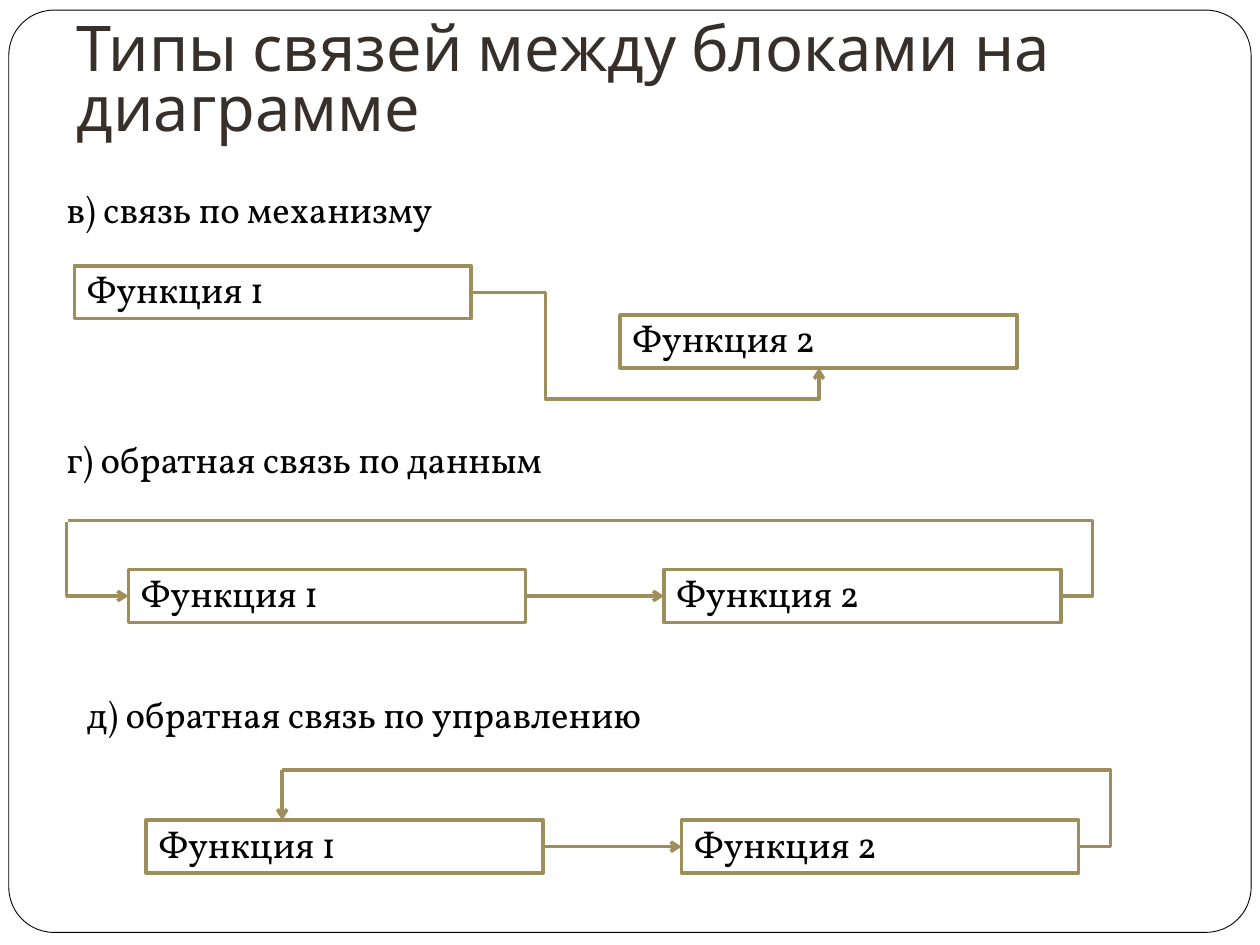
from dataclasses import dataclass

from lxml import etree
from pptx import Presentation
from pptx.dml.color import RGBColor
from pptx.enum.shapes import MSO_CONNECTOR, MSO_SHAPE
from pptx.enum.text import MSO_ANCHOR, MSO_AUTO_SIZE, PP_ALIGN
from pptx.oxml.ns import qn
from pptx.util import Inches, Pt

BLACK = RGBColor(0x00, 0x00, 0x00)
WHITE = RGBColor(0xFF, 0xFF, 0xFF)
BROWN = RGBColor(0x37, 0x30, 0x2A)
OLIVE = RGBColor(0x9E, 0x8E, 0x5C)
TITLE_FONT = "Karla"
BODY_FONT = "Vollkorn"
BOX_WIDTH, CAPTION_WIDTH, TEXT_HEIGHT = 3.15, 7.64, 0.42


@dataclass(frozen=True)
class Caption:
    text: str
    left: float
    top: float


@dataclass(frozen=True)
class Block:
    number: int
    left: float
    top: float


@dataclass(frozen=True)
class Link:
    start: tuple[float, float]
    end: tuple[float, float]
    geometry: str = "line"
    adjustments: tuple[float, ...] = ()
    arrow: str = ""


CAPTIONS = [
    Caption("в) связь по механизму", 0.43, 1.47),
    Caption("г) обратная связь по данным", 0.43, 3.46),
    Caption("д) обратная связь по управлению", 0.59, 5.48),
]
BLOCKS = [
    Block(1, 0.59, 2.11), Block(2, 4.92, 2.5),
    Block(1, 1.02, 4.52), Block(2, 5.27, 4.52),
    Block(1, 1.16, 6.51), Block(2, 5.41, 6.51),
]
LINKS = [
    Link((3.74, 2.32), (6.5, 2.92), "bentConnector4", (0.214, 1.415), "tailEnd"),
    Link((4.17, 4.73), (5.27, 4.73), arrow="tailEnd"),
    Link((8.42, 4.73), (0.54, 4.13), "bentConnector3", (-0.032,)),
    Link((1.02, 4.73), (0.53, 4.14), "bentConnector2", arrow="headEnd"),
    Link((8.56, 6.72), (2.24, 6.11), "bentConnector3", (-0.04,)),
    Link((4.31, 6.72), (5.41, 6.72), arrow="tailEnd"),
    Link((2.24, 6.11), (2.24, 6.51), arrow="tailEnd"),
]


def write_body(shape, text: str) -> None:
    frame = shape.text_frame
    frame.word_wrap = True
    frame.auto_size = MSO_AUTO_SIZE.SHAPE_TO_FIT_TEXT
    frame.vertical_anchor = MSO_ANCHOR.TOP
    paragraph = frame.paragraphs[0]
    paragraph.alignment = PP_ALIGN.LEFT
    paragraph.line_spacing = 0.9
    paragraph.space_before = Pt(4)
    run = paragraph.add_run()
    run.text = text
    run.font.name = BODY_FONT
    run.font.size = Pt(21)
    run.font.color.rgb = BLACK


def add_frame(slide) -> None:
    frame = slide.shapes.add_shape(
        MSO_SHAPE.ROUNDED_RECTANGLE, Inches(0.07), Inches(0.08), Inches(9.86), Inches(7.32))
    frame.adjustments[0] = 0.049
    frame.shadow.inherit = False
    frame.fill.solid()
    frame.fill.fore_color.rgb = WHITE
    frame.line.color.rgb = BLACK
    frame.line.width = Pt(0.5)
    slide.shapes.title.element.addprevious(frame.element)


def format_title(title) -> None:
    title.left, title.top = Inches(0.51), Inches(0.29)
    title.width, title.height = Inches(9.06), Inches(0.95)
    frame = title.text_frame
    frame.text = "Типы связей между блоками на диаграмме"
    frame.word_wrap = True
    frame.auto_size = MSO_AUTO_SIZE.NONE
    frame.vertical_anchor = MSO_ANCHOR.BOTTOM
    frame.margin_bottom = Inches(0.1)
    paragraph = frame.paragraphs[0]
    paragraph.alignment = PP_ALIGN.LEFT
    paragraph.line_spacing = 0.8
    font = paragraph.runs[0].font
    font.name = TITLE_FONT
    font.size = Pt(36)
    font.color.rgb = BROWN


def add_caption(slide, caption: Caption) -> None:
    box = slide.shapes.add_textbox(
        Inches(caption.left), Inches(caption.top), Inches(CAPTION_WIDTH), Inches(TEXT_HEIGHT))
    write_body(box, caption.text)


def add_block(slide, block: Block) -> None:
    box = slide.shapes.add_shape(
        MSO_SHAPE.RECTANGLE,
        Inches(block.left), Inches(block.top), Inches(BOX_WIDTH), Inches(TEXT_HEIGHT))
    box.shadow.inherit = False
    box.fill.background()
    box.line.color.rgb = OLIVE
    box.line.width = Pt(2)
    write_body(box, f"Функция {block.number}")


def add_link(slide, link: Link) -> None:
    kind = MSO_CONNECTOR.STRAIGHT if link.geometry == "line" else MSO_CONNECTOR.ELBOW
    points = [Inches(value) for value in (*link.start, *link.end)]
    connector = slide.shapes.add_connector(kind, *points)
    connector.line.color.rgb = OLIVE
    connector.line.width = Pt(2)
    properties = connector.element.spPr
    geometry = properties.find(qn("a:prstGeom"))
    geometry.set("prst", link.geometry)
    guides = geometry.find(qn("a:avLst"))
    for index, value in enumerate(link.adjustments, start=1):
        etree.SubElement(guides, qn("a:gd"), name=f"adj{index}", fmla=f"val {round(value * 100000)}")
    if link.arrow:
        etree.SubElement(properties.find(qn("a:ln")), qn(f"a:{link.arrow}"), type="arrow")
    etree.SubElement(properties, qn("a:effectLst"))


def main() -> None:
    presentation = Presentation()
    presentation.slide_width, presentation.slide_height = Inches(10), Inches(7.5)
    slide = presentation.slides.add_slide(presentation.slide_layouts[5])
    add_frame(slide)
    format_title(slide.shapes.title)
    for caption in CAPTIONS:
        add_caption(slide, caption)
    for block in BLOCKS:
        add_block(slide, block)
    for link in LINKS:
        add_link(slide, link)
    presentation.save("out.pptx")


main()
